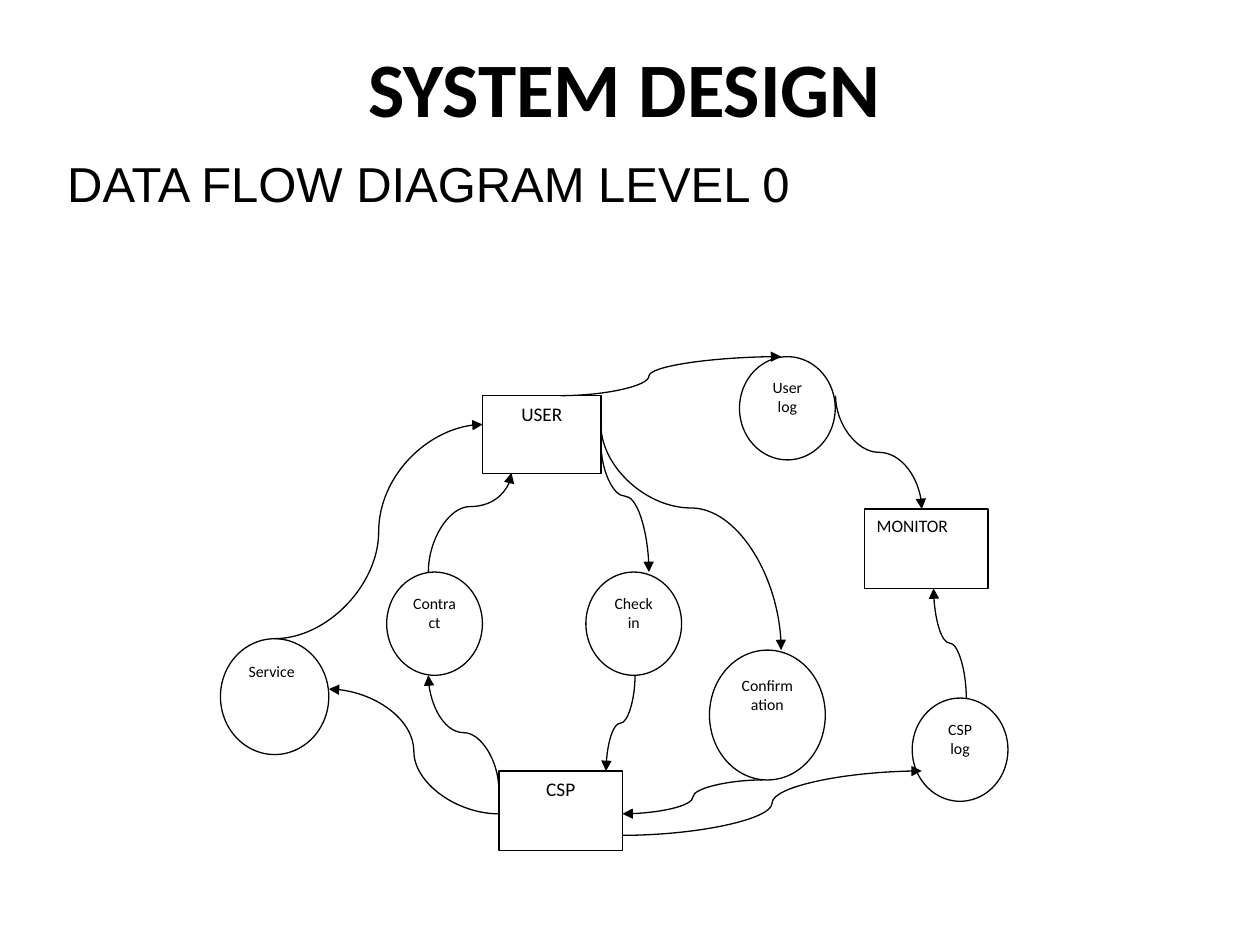
from lxml.etree import SubElement
from pptx import Presentation
from pptx.dml.color import RGBColor
from pptx.enum.shapes import MSO_CONNECTOR, MSO_SHAPE
from pptx.enum.text import MSO_ANCHOR, PP_ALIGN
from pptx.oxml.ns import qn
from pptx.util import Pt

BLACK = RGBColor(0, 0, 0)
WHITE = RGBColor(255, 255, 255)
LINE_WIDTH = Pt(0.75)

BOX = MSO_SHAPE.RECTANGLE
PROCESS = MSO_SHAPE.FLOWCHART_PROCESS
CIRCLE = MSO_SHAPE.OVAL
CENTER, LEFT = PP_ALIGN.CENTER, PP_ALIGN.LEFT

PROCESS_SIZE = (70.6, 45.4)
CIRCLE_SIZE = (54.7, 59)

# label, shape, (left, top), (width, height), font size, alignment
NODES = [
    ("USER", BOX, (275.8, 226.1), (67.7, 44.6), 11, CENTER),
    ("CSP", PROCESS, (285.1, 440.6), PROCESS_SIZE, 11, CENTER),
    ("MONITOR", PROCESS, (493.9, 290.9), PROCESS_SIZE, 10, LEFT),
    ("Check in", CIRCLE, (334.8, 326.9), CIRCLE_SIZE, 9, CENTER),
    ("Contract", CIRCLE, (221, 326.9), CIRCLE_SIZE, 9, CENTER),
    ("Service", CIRCLE, (126, 365), (61.9, 66.2), 9, LEFT),
    ("Confirmation", CIRCLE, (405.4, 371.5), (66.2, 74.2), 9, CENTER),
    ("CSP log", CIRCLE, (521.3, 398.9), CIRCLE_SIZE, 9, CENTER),
    ("User log", CIRCLE, (422.6, 203.8), CIRCLE_SIZE, 9, CENTER),
]

# start, end, position of the bend along the flow
VERTICAL_FLOWS = [
    ((343.4, 253.4), (370.8, 326.9), 0.41),  # USER to Check in
    ((362.9, 385.9), (346.3, 440.6), 0.5),   # Check in to CSP
    ((285.1, 451.4), (244.8, 385.9), 0.5),   # CSP to Contract
    ((244.8, 326.9), (292.3, 270.2), 0.66),  # Contract to USER
    ((343.4, 242.6), (446.4, 371.5), 0.37),  # USER to Confirmation
    ((477.4, 226.1), (526.7, 290.9), 0.5),   # User log to MONITOR
    ((552.2, 398.9), (533.5, 336.2), 0.5),   # CSP log to MONITOR
]
HORIZONTAL_FLOWS = [
    ((436.3, 445.7), (355.7, 465.1), 0.5),   # Confirmation to CSP
    ((285.1, 465.1), (187.9, 393.8), 0.5),   # CSP to Service
    ((157, 365), (275.8, 242.6), 0.5),       # Service to USER
    ((320.4, 226.1), (446.4, 203.8), 0.4),   # USER to User log
    ((355.7, 477.4), (526.7, 440.6), 0.5),   # CSP to CSP log
]


def format_text(frame, text, font_name, size, align, bold=False):
    frame.text = text
    frame.word_wrap = True
    paragraph = frame.paragraphs[0]
    paragraph.alignment = align
    font = paragraph.runs[0].font
    font.name, font.size, font.bold = font_name, Pt(size), bold
    font.color.rgb = BLACK
    return paragraph


def add_title(slide, text):
    title = slide.shapes.title
    title.left, title.top = Pt(48.2), Pt(18)
    title.width, title.height = Pt(617.8), Pt(62.6)
    title.text_frame.vertical_anchor = MSO_ANCHOR.MIDDLE
    format_text(title.text_frame, text, "Calibri", 44, CENTER, bold=True)


def add_white_shape(slide, kind, position, size):
    shape = slide.shapes.add_shape(kind, *map(Pt, position + size))
    shape.shadow.inherit = False
    shape.fill.solid()
    shape.fill.fore_color.rgb = WHITE
    return shape


def add_subtitle(slide, text):
    band = add_white_shape(slide, BOX, (24, 90), (630, 29.5))
    band.line.fill.background()
    frame = band.text_frame
    frame.margin_left = Pt(14.4)
    frame.margin_top = frame.margin_right = frame.margin_bottom = 0
    frame.vertical_anchor = MSO_ANCHOR.MIDDLE
    format_text(frame, text, "Arial", 28, LEFT)


def add_node(slide, label, kind, position, size, font_size, align):
    node = add_white_shape(slide, kind, position, size)
    node.line.color.rgb = BLACK
    node.line.width = LINE_WIDTH
    node.text_frame.vertical_anchor = MSO_ANCHOR.TOP
    paragraph = format_text(node.text_frame, label, "Calibri", font_size, align)
    paragraph.space_after = Pt(10)


def add_flow(slide, start, end, bend):
    """Add a curved arrow that leaves and arrives horizontally."""
    flow = slide.shapes.add_connector(MSO_CONNECTOR.CURVE, *map(Pt, start + end))
    flow.line.color.rgb = BLACK
    flow.line.width = LINE_WIDTH
    properties = flow._element.spPr
    SubElement(properties.find(qn("a:ln")), qn("a:tailEnd"), type="triangle")
    SubElement(properties, qn("a:effectLst"))
    guides = properties.find(qn("a:prstGeom")).get_or_add_avLst()
    SubElement(guides, qn("a:gd"), name="adj1", fmla=f"val {round(bend * 100000)}")
    return flow


def add_vertical_flow(slide, start, end, bend):
    """Add a flow turned by a quarter, so it leaves and arrives vertically."""
    (x1, y1), (x2, y2) = start, end
    center_x, center_y = (x1 + x2) / 2, (y1 + y2) / 2
    half_length, half_spread = abs(y2 - y1) / 2, abs(x2 - x1) / 2
    flow = add_flow(slide, (center_x - half_length, center_y - half_spread),
                    (center_x + half_length, center_y + half_spread), bend)
    frame = flow._element.spPr.find(qn("a:xfrm"))
    goes_right, goes_down = x2 > x1, y2 > y1
    frame.set("rot", str((270 if goes_right else 90) * 60000))
    if goes_right == goes_down:
        frame.set("flipH", "1")


def main():
    deck = Presentation()
    deck.slide_width, deck.slide_height = Pt(720), Pt(540)
    slide = deck.slides.add_slide(deck.slide_layouts[5])
    add_title(slide, "SYSTEM DESIGN")
    add_subtitle(slide, "DATA FLOW DIAGRAM LEVEL 0")
    for node in NODES:
        add_node(slide, *node)
    for flow in VERTICAL_FLOWS:
        add_vertical_flow(slide, *flow)
    for flow in HORIZONTAL_FLOWS:
        add_flow(slide, *flow)
    deck.save("out.pptx")


if __name__ == "__main__":
    main()
